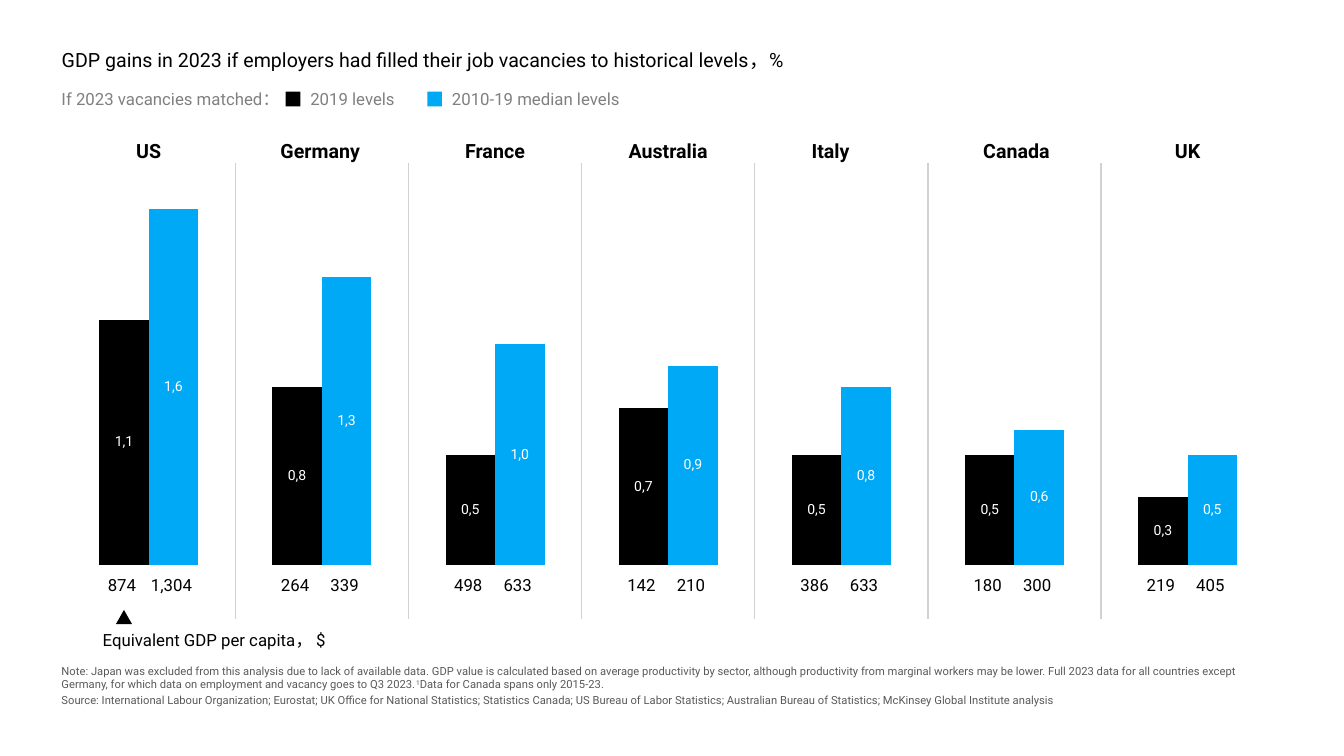
from lxml.etree import SubElement
from pptx import Presentation
from pptx.chart.data import CategoryChartData
from pptx.dml.color import RGBColor
from pptx.enum.chart import XL_CHART_TYPE, XL_TICK_LABEL_POSITION, XL_TICK_MARK
from pptx.enum.shapes import MSO_CONNECTOR, MSO_SHAPE
from pptx.enum.text import MSO_ANCHOR, MSO_AUTO_SIZE, PP_ALIGN
from pptx.oxml.ns import qn
from pptx.util import Cm, Pt

BLACK = RGBColor(0x00, 0x00, 0x00)
WHITE = RGBColor(0xFF, 0xFF, 0xFF)
BLUE = RGBColor(0x00, 0xA9, 0xF6)
GRAY = RGBColor(0x80, 0x80, 0x80)
DARK = RGBColor(0x59, 0x59, 0x59)
RULE = RGBColor(0xD1, 0xD1, 0xD1)
FONT = "Roboto"

# country, heading shift in cm, then per bar: height, label, GDP per capita
DATA = [
    ("US", 0, (69, "1,1", "874"), (100, "1,6", "1,304")),
    ("Germany", -0.04, (50, "0,8", "264"), (81, "1,3", "339")),
    ("France", 0, (31, "0,5", "498"), (62, "1,0", "633")),
    ("Australia", 0, (44, "0,7", "142"), (56, "0,9", "210")),
    ("Italy", -0.27, (31, "0,5", "386"), (50, "0,8", "633")),
    ("Canada", 0.05, (31, "0,5", "180"), (38, "0,6", "300")),
    ("UK", 0, (19, "0,3", "219"), (31, "0,5", "405")),
]
GAP = 150
EDGE = 1.3
WIDE = 31.27


def style(frame, size, color, bold=False, align=PP_ALIGN.LEFT, wrap=False):
    frame.word_wrap = wrap
    frame.auto_size = MSO_AUTO_SIZE.SHAPE_TO_FIT_TEXT
    frame.vertical_anchor = MSO_ANCHOR.TOP
    para = frame.paragraphs[0]
    para.alignment = align
    font = para.font
    font.name, font.size, font.bold = FONT, Pt(size), bold
    font.color.rgb = color


def write(slide, box, text, size, color, **look):
    frame = slide.shapes.add_textbox(*map(Cm, box)).text_frame
    frame.text = text
    style(frame, size, color, **look)
    return frame


def mark(slide, kind, box, color):
    shape = slide.shapes.add_shape(kind, *map(Cm, box))
    shape.shadow.inherit = False
    shape.fill.solid()
    shape.fill.fore_color.rgb = color
    shape.line.fill.background()


def divide(slide, x, top, end):
    line = slide.shapes.add_connector(
        MSO_CONNECTOR.STRAIGHT, Cm(x), Cm(top), Cm(x), Cm(end))
    line.line.color.rgb = RULE
    line.line.width = Pt(1)
    SubElement(line._element.spPr, qn("a:effectLst"))


def head(slide, left, top):
    title = slide.shapes.title
    title.left, title.top, title.width, title.height = map(
        Cm, (left, top, 19.6, 0.86))
    title.text_frame.text = (
        "GDP gains in 2023 if employers had filled their job vacancies "
        "to historical levels，%")
    style(title.text_frame, 14, BLACK)


def legend(slide, left, top):
    write(slide, (left, top, 6.12, 0.77), "If 2023 vacancies matched：", 12, GRAY)
    items = [(5.9, 2.7, "2019 levels", BLACK),
             (9.47, 4.95, "2010-19 median levels", BLUE)]
    for shift, width, text, color in items:
        x = left + shift
        mark(slide, MSO_SHAPE.RECTANGLE, (x, top + 0.2, 0.37, 0.37), color)
        write(slide, (x + 0.37, top, width, 0.77), text, 12, GRAY)


def set_plot(chart, parts):
    """Fix the inner plot area to fractions of the chart box."""
    area = chart._chartSpace.chart.plotArea
    for old in area.findall(qn("c:layout")):
        area.remove(old)
    layout = SubElement(area, qn("c:layout"))
    area.insert(0, layout)
    manual = SubElement(layout, qn("c:manualLayout"))
    pairs = [("layoutTarget", "inner"), ("xMode", "edge"), ("yMode", "edge")]
    for tag, val in pairs + list(zip("xywh", parts)):
        SubElement(manual, qn("c:" + tag)).set("val", str(val))


def bars(slide, box, parts):
    data = CategoryChartData()
    data.categories = [str(n + 1) for n in range(len(DATA))]
    for n in (0, 1):
        data.add_series(f"Series {n + 1}", [row[n + 2][0] for row in DATA])
    chart = slide.shapes.add_chart(
        XL_CHART_TYPE.COLUMN_CLUSTERED, *map(Cm, box), data).chart
    chart.has_legend = chart.has_title = False
    chart.font.name, chart.font.size = "Noto Sans CJK SC", Pt(10)
    chart.font.color.rgb = BLACK
    plot = chart.plots[0]
    plot.gap_width, plot.overlap, plot.vary_by_categories = GAP, 0, False
    for series, color in zip(plot.series, (BLACK, BLUE)):
        series.format.fill.solid()
        series.format.fill.fore_color.rgb = color
    value = chart.value_axis
    value.minimum_scale, value.maximum_scale = 0, 100
    value.has_major_gridlines = False
    value.visible = False
    axis = chart.category_axis
    axis.tick_label_position = XL_TICK_LABEL_POSITION.NONE
    axis.major_tick_mark = axis.minor_tick_mark = XL_TICK_MARK.NONE
    axis.format.line.color.rgb = WHITE
    axis.format.line.width = Pt(0.75)
    set_plot(chart, parts)


def label(slide, x, y, text):
    frame = write(slide, (x - 0.29, y - 0.19, 0.58, 0.38), text, 10, WHITE,
                  align=PP_ALIGN.CENTER)
    frame.auto_size = MSO_AUTO_SIZE.NONE
    frame.vertical_anchor = MSO_ANCHOR.MIDDLE
    frame.margin_left = frame.margin_right = Cm(0.05)
    frame.margin_top = frame.margin_bottom = 0
    frame.paragraphs[0].line_spacing = 0.9


def panels(slide, box):
    """Chart with country headings, dividers, bar labels and GDP per capita."""
    left, top, width, height = box
    parts = (0.007, 0.024, 0.985, 0.951)
    bars(slide, box, parts)
    start = left + parts[0] * width
    base = top + (parts[1] + parts[3]) * height
    step = parts[2] * width / len(DATA)
    thick = step / (2 + GAP / 100)
    for n, (name, shift, *pair) in enumerate(DATA):
        mid = start + (n + 0.5) * step
        if n:
            divide(slide, start + n * step, top - 0.94, base + 1.37)
        write(slide, (mid + shift - 1.4, top - 1.67, 2.8, 0.86), name, 14,
              BLACK, bold=True, align=PP_ALIGN.CENTER)
        for side, (size, text, gain) in zip((-0.5, 0.5), pair):
            x = mid + side * thick
            label(slide, x, base - size / 200 * parts[3] * height, text)
            write(slide, (x - 0.85, base + 0.12, 1.6, 0.77), gain, 12, BLACK,
                  align=PP_ALIGN.CENTER)


def key(slide, left, top):
    mark(slide, MSO_SHAPE.ISOSCELES_TRIANGLE,
         (left + 0.58, top, 0.41, 0.36), BLACK)
    write(slide, (left, top + 0.38, 6.4, 0.77),
          "Equivalent GDP per capita， $", 12, BLACK)


def notes(slide, left, top, width):
    frame = write(
        slide, (left, top, width, 0.94),
        "Note: Japan was excluded from this analysis due to lack of available "
        "data. GDP value is calculated based on average productivity by "
        "sector, although productivity from marginal workers may be lower. "
        "Full 2023 data for all countries except Germany, for which data on "
        "employment and vacancy goes to Q3 2023.", 8, DARK, wrap=True)
    para = frame.paragraphs[0]
    sup = para.add_run()
    sup.text = "1"
    sup._r.get_or_add_rPr().set("baseline", "30000")
    para.add_run().text = "Data for Canada spans only 2015-23."
    write(slide, (left, top + 0.74, width, 0.6),
          "Source: International Labour Organization; Eurostat; UK Office for "
          "National Statistics; Statistics Canada; US Bureau of Labor "
          "Statistics; Australian Bureau of Statistics; McKinsey Global "
          "Institute analysis", 8, DARK, wrap=True)


def main():
    deck = Presentation()
    deck.slide_width, deck.slide_height = Cm(33.87), Cm(19.05)
    slide = deck.slides.add_slide(deck.slide_layouts[5])
    head(slide, EDGE, 1.07)
    legend(slide, EDGE, 2.11)
    panels(slide, (1.35, 5.05, 31.01, 9.42))
    key(slide, 2.34, 15.37)
    notes(slide, EDGE, 16.61, WIDE)
    deck.save("out.pptx")


if __name__ == "__main__":
    main()
